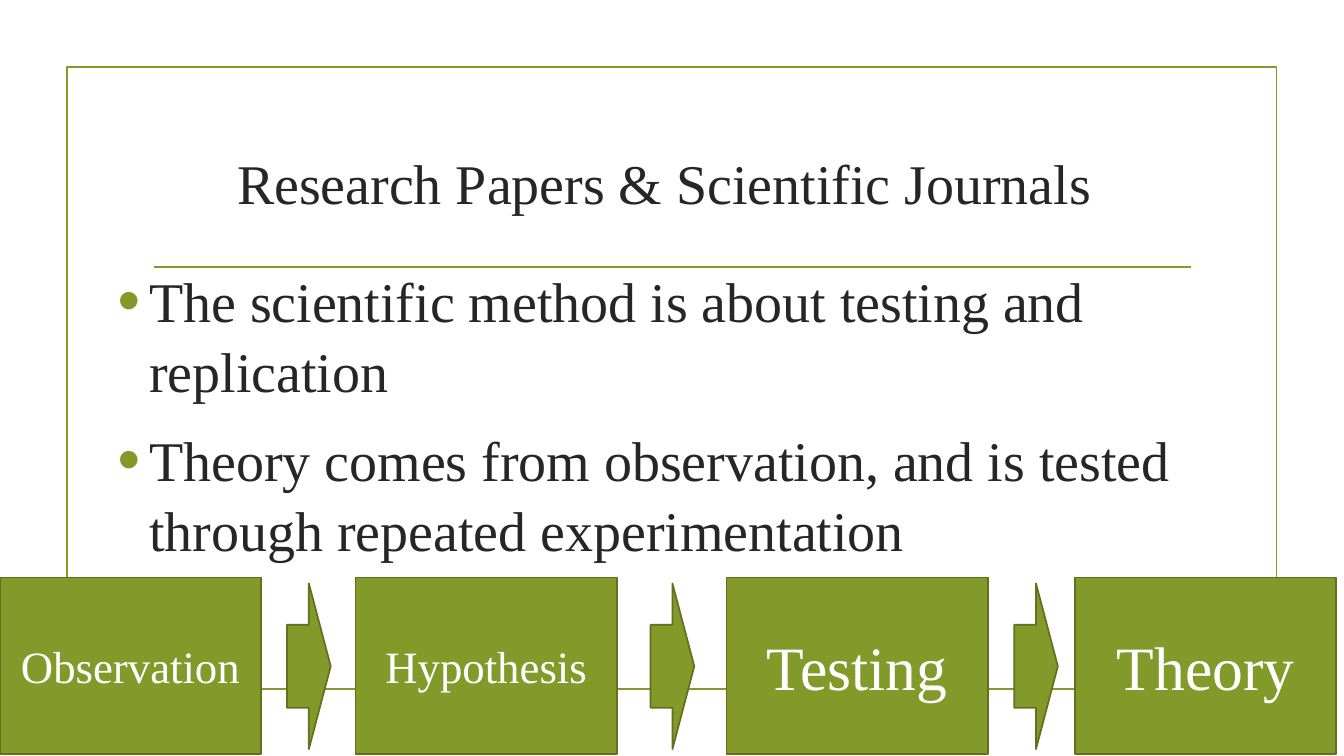
import dataclasses

import pptx
import pptx.dml.color
import pptx.enum.shapes
import pptx.enum.text
import pptx.oxml
import pptx.oxml.ns
import pptx.util

Pt = pptx.util.Pt
ShapeKind = pptx.enum.shapes.MSO_SHAPE
Align = pptx.enum.text.PP_ALIGN
Anchor = pptx.enum.text.MSO_ANCHOR


@dataclasses.dataclass(frozen=True)
class Theme:
    font: str = "Times New Roman"
    ink: str = "262626"
    olive: str = "83992A"
    moss: str = "61711F"
    white: str = "FFFFFF"
    heading: int = 40
    step_small: int = 32
    step_large: int = 44
    stroke: float = 1.25


THEME = Theme()


def colour(value):
    return pptx.dml.color.RGBColor.from_string(value)


def assign(target, values):
    for name, value in values.items():
        setattr(target, name, value)


def set_line(line, value):
    line.color.rgb = colour(value)
    line.width = Pt(THEME.stroke)


def add_block(page, kind, place, fill, stroke):
    block = page.shapes.add_shape(kind, *map(Pt, place))
    block.shadow.inherit = False
    if fill:
        block.fill.solid()
        block.fill.fore_color.rgb = colour(fill)
    else:
        block.fill.background()
    set_line(block.line, stroke)
    return block


def add_rule(page, left, right, top):
    rule = page.shapes.add_connector(
        pptx.enum.shapes.MSO_CONNECTOR.STRAIGHT, Pt(left), Pt(top), Pt(right), Pt(top))
    set_line(rule.line, THEME.olive)
    rule._element.spPr.append(pptx.oxml.parse_xml(
        f'<a:effectLst {pptx.oxml.ns.nsdecls("a")}/>'))


def write(para, text, size, ink, **layout):
    span = para.add_run()
    span.text = text
    assign(span.font, {"name": THEME.font, "size": Pt(size)})
    span.font.color.rgb = colour(ink)
    assign(para, layout)


def add_text_box(page, place, anchor):
    box = page.shapes.add_textbox(*map(Pt, place))
    assign(box.text_frame, {"word_wrap": True, "vertical_anchor": anchor})
    return box.text_frame


def add_bullet(para):
    properties = para._p.get_or_add_pPr()
    assign_indent = {"marL": Pt(22.5), "indent": -Pt(22.5)}
    for name, value in assign_indent.items():
        properties.set(name, str(int(value)))
    for markup in (f'<a:buClr {{}}><a:srgbClr val="{THEME.olive}"/></a:buClr>',
                   '<a:buSzPct {} val="115000"/>',
                   '<a:buFont {} typeface="Arial"/>',
                   '<a:buChar {} char="•"/>'):
        properties.append(pptx.oxml.parse_xml(
            markup.format(pptx.oxml.ns.nsdecls("a"))))


def add_title(page, text):
    frame = add_text_box(page, (96.5, 78.5, 756, 103), Anchor.MIDDLE)
    write(frame.paragraphs[0], text, THEME.heading, THEME.ink, alignment=Align.CENTER)


def add_bullets(page, points):
    frame = add_text_box(page, (77, 185, 851, 227.5), Anchor.TOP)
    for index, point in enumerate(points):
        para = frame.add_paragraph() if index else frame.paragraphs[0]
        write(para, point, THEME.heading, THEME.ink, line_spacing=1.04,
              space_before=Pt(8 if index else 3), space_after=Pt(6))
        add_bullet(para)


def add_step(page, left, text, size):
    step = add_block(page, ShapeKind.RECTANGLE, (left, 412.5, 186.5, 126),
                     THEME.olive, THEME.moss)
    assign(step.text_frame, {"word_wrap": True, "vertical_anchor": Anchor.MIDDLE})
    write(step.text_frame.paragraphs[0], text, size, THEME.white, alignment=Align.CENTER)


def main():
    deck = pptx.Presentation()
    assign(deck, {"slide_width": Pt(960), "slide_height": Pt(540)})
    page = deck.slides.add_slide(deck.slide_layouts[6])

    add_block(page, ShapeKind.RECTANGLE, (47.75, 48, 864, 444), None, THEME.olive)
    add_rule(page, 110, 850.5, 190.8)
    add_title(page, "Research Papers & Scientific Journals")
    add_bullets(page, (
        "The scientific method is about testing and replication",
        "Theory comes from observation, and is tested through repeated experimentation",
    ))
    for left, text, size in (
        (0, "Observation", THEME.step_small),
        (254, "Hypothesis", THEME.step_small),
        (519, "Testing", THEME.step_large),
        (768, "Theory", THEME.step_large),
    ):
        add_step(page, left, text, size)
    for index in range(3):
        add_block(page, ShapeKind.RIGHT_ARROW, (205 + index * 259.7, 416.7, 31.2, 118.4),
                  THEME.olive, THEME.moss)

    deck.save("out.pptx")


if __name__ == "__main__":
    main()
